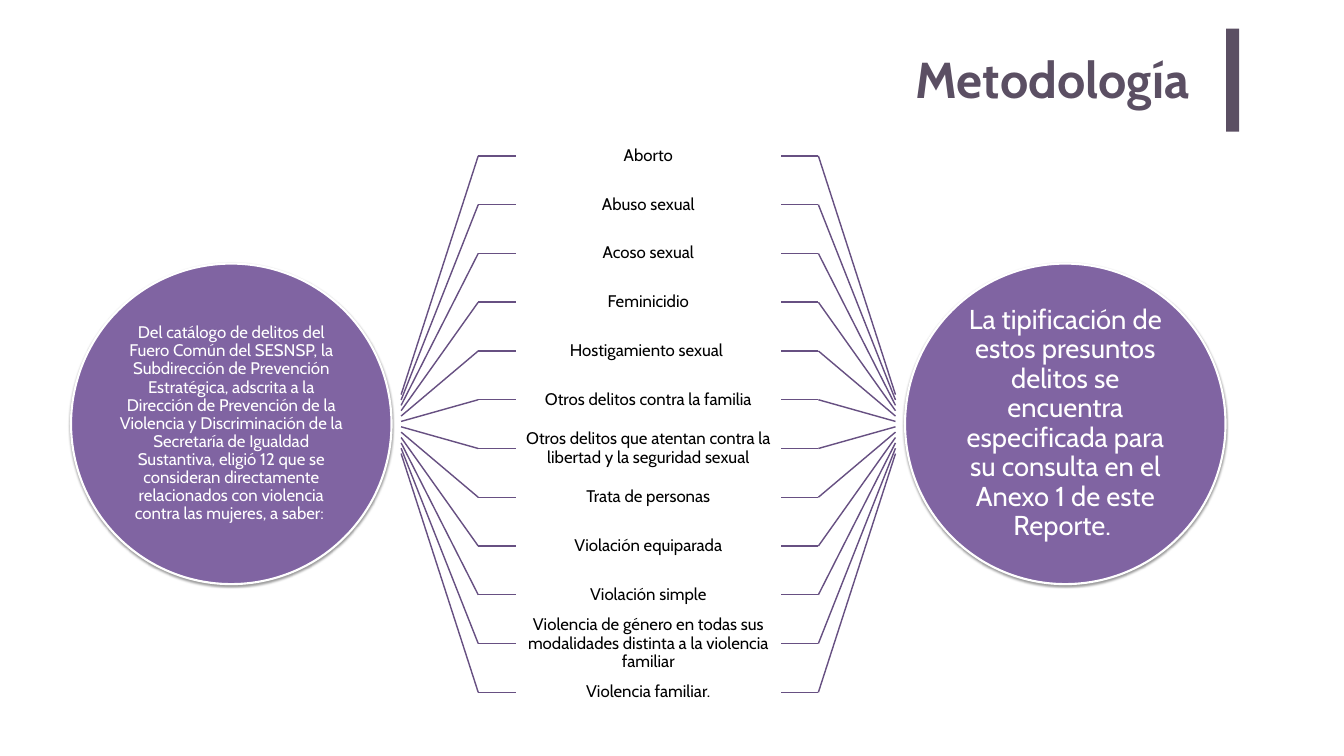
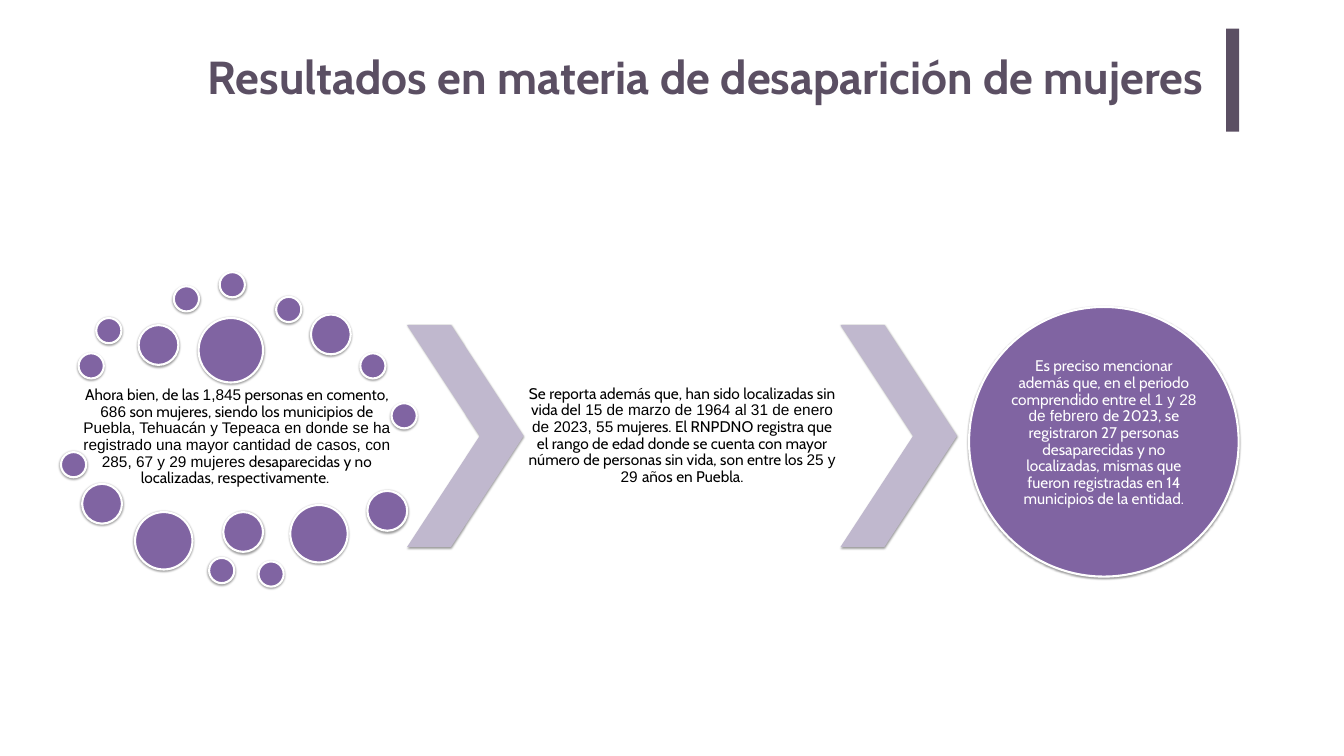
from dataclasses import dataclass
from itertools import cycle

from lxml import etree
from pptx import Presentation
from pptx import util as u
from pptx.dml.color import RGBColor
from pptx.enum import shapes, text
from pptx.oxml import ns

PX = 9144  # EMU in one px; 100 px make an inch


@dataclass(frozen=True)
class Theme:
    heading: str = "5B4F63"
    purple: str = "8064A2"
    pale: str = "C0B8CE"
    wire: str = "675082"
    white: str = "FFFFFF"
    black: str = "000000"
    font: str = "Cabin"
    alt_font: str = "Arial"
    title_size: int = 72
    long_title_size: int = 66
    large_size: int = 39
    list_size: int = 24
    body_size: int = 22


THEME = Theme()

CATALOGUE = (
    "Del catálogo de delitos del Fuero Común del SESNSP, la Subdirección de "
    "Prevención Estratégica, adscrita a la Dirección de Prevención de la Violencia "
    "y Discriminación de la Secretaría de Igualdad Sustantiva, eligió 12 que se "
    "consideran directamente relacionados con violencia contra las mujeres, a saber: ",
)
ANNEX = (
    "La tipificación de estos presuntos delitos se encuentra especificada para su "
    "consulta en el Anexo 1 de este Reporte. ",
)
CRIMES = [
    "Aborto",
    "Abuso sexual",
    "Acoso sexual",
    "Feminicidio",
    "Hostigamiento sexual ",
    "Otros delitos contra la familia",
    "Otros delitos que atentan contra la libertad y la seguridad sexual",
    "Trata de personas",
    "Violación equiparada",
    "Violación simple",
    "Violencia de género en todas sus modalidades distinta a la violencia familiar",
    "Violencia familiar.",
]

# Runs alternate between the main and the second font.
MISSING = (
    "Ahora bien, de las ", "1,845", " personas en comento, ", "686",
    " son mujeres, siendo los municipios de ",
    "Puebla, Tehuacán y Tepeaca en donde se ha registrado una mayor cantidad de "
    "casos, con 285, 67 y 29 mujeres",
    " desaparecidas y no localizadas, respectivamente. ",
)
FOUND = (
    "Se reporta además que, han sido localizadas sin vida de",
    "l 15 de marzo de 1964 al 31 de enero de 2023, 55",
    " mujeres. El RNPDNO registra que el rango de edad donde se cuenta con mayor "
    "número de personas sin vida, son entre los ",
    "25 y 29 ", "años en Puebla.",
)
FEBRUARY = (
    "Es preciso mencionar además que, en el periodo comprendido entre el ",
    "1 y 28 de febrero ",
    "de 2023, se registraron 27 personas desaparecidas y no localizadas, mismas que "
    "fueron registradas en 14 municipios de la entidad.",
)

# Dot diameter -> left and top of each dot within the cluster
DOTS = {
    50: [(35, 161), (70, 91), (224, 28), (315, 0), (427, 49), (594, 161),
         (656, 260), (0, 357), (294, 567), (392, 574)],
    79: [(154, 105), (496, 84), (42, 420), (322, 476), (608, 434)],
    114: [(147, 476), (455, 462)],
    128: [(273, 91)],
}


def emu(*lengths):
    return [u.Emu(round(length * PX)) for length in lengths]


def assign(target, **values):
    for name, value in values.items():
        setattr(target, name, value)


def write(frame, runs, size, color, insets=(0, 0, 0, 0), bold=False,
          align=text.PP_ALIGN.CENTER, anchor=text.MSO_ANCHOR.MIDDLE, spacing=0.9):
    left, top, right, bottom = emu(*insets)
    assign(frame, word_wrap=True, auto_size=text.MSO_AUTO_SIZE.NONE,
           vertical_anchor=anchor, margin_left=left, margin_top=top,
           margin_right=right, margin_bottom=bottom)
    paragraph = frame.paragraphs[0]
    assign(paragraph, alignment=align, line_spacing=spacing)
    for words, font in zip(runs, cycle((THEME.font, THEME.alt_font))):
        run = paragraph.add_run()
        run.text = words
        assign(run.font, name=font, size=u.Pt(size), bold=bold)
        run.font.color.rgb = RGBColor.from_string(color)


def add_label(slide, box, runs, size, inset):
    label = slide.shapes.add_textbox(*emu(*box))
    write(label.text_frame, runs, size, THEME.black, (inset,) * 4)


def add_filled(slide, kind, box, fill, outline=None, shadow=True):
    shape = slide.shapes.add_shape(kind, *emu(*box))
    shape.fill.solid()
    shape.fill.fore_color.rgb = RGBColor.from_string(fill)
    if outline:
        shape.line.color.rgb = RGBColor.from_string(outline)
        shape.line.width = u.Pt(3)
    else:
        shape.line.fill.background()
    shape.shadow.inherit = False
    if shadow:
        effects = shape._element.spPr.find(ns.qn("a:effectLst"))
        outer = etree.SubElement(
            effects, ns.qn("a:outerShdw"), blurRad=str(u.Pt(3.1)),
            dist=str(u.Pt(1.6)), dir="5400000", rotWithShape="0")
        tint = etree.SubElement(outer, ns.qn("a:srgbClr"), val=THEME.black)
        etree.SubElement(tint, ns.qn("a:alpha"), val="38000")
    return shape


def add_circle(slide, left, top, diameter):
    return add_filled(slide, shapes.MSO_SHAPE.OVAL, (left, top, diameter, diameter),
                      THEME.purple, THEME.white)


def add_text_circle(slide, left, top, diameter, runs, size, lift=0):
    """Circle with text; lift is the space kept free below the text."""
    circle = add_circle(slide, left, top, diameter)
    write(circle.text_frame, runs, size, THEME.white, (0, 0, 0, lift))


def add_chevron(slide, box):
    chevron = add_filled(slide, shapes.MSO_SHAPE.CHEVRON, box, THEME.pale)
    chevron.adjustments[0] = 0.623


def add_wire(slide, *ends):
    wire = slide.shapes.add_connector(shapes.MSO_CONNECTOR.STRAIGHT, *emu(*ends))
    wire.line.color.rgb = RGBColor.from_string(THEME.wire)
    wire.line.width = u.Pt(2)
    etree.SubElement(wire._element.spPr, ns.qn("a:effectLst"))


def add_titled_slide(deck, heading, box, size):
    slide = deck.slides.add_slide(deck.slide_layouts[5])
    add_filled(slide, shapes.MSO_SHAPE.RECTANGLE, (2433, 57, 26, 204),
               THEME.heading, shadow=False)
    title = slide.shapes.title
    assign(title, **dict(zip(("left", "top", "width", "height"), emu(*box))))
    write(title.text_frame, [heading], size, THEME.heading, (20, 10, 20, 10), True,
          text.PP_ALIGN.RIGHT, text.MSO_ANCHOR.TOP, 1.0)
    return slide


def add_crime_fan(slide, left, top, width, height):
    """List of crimes, each row wired to a hub on both sides of the box."""
    pitch = height / len(CRIMES)
    hub_pitch, reach, stub = 10.64, 153, 74
    right, middle = left + width, top + height / 2
    for row, crime in enumerate(CRIMES):
        y = top + (row + 0.5) * pitch
        hub_y = middle + (row - (len(CRIMES) - 1) / 2) * hub_pitch
        for edge, inward in ((left, 1), (right, -1)):
            elbow = edge + inward * reach
            add_wire(slide, edge, hub_y, elbow, y)
            add_wire(slide, elbow, y, elbow + inward * stub, y)
        side = reach + stub
        add_label(slide, (left + side, y - pitch / 2, width - 2 * side, pitch),
                  [crime], THEME.list_size, 19)


def add_dot_cluster(slide, left, top):
    add_label(slide, (left + 35, top + 224, 628, 207), MISSING, THEME.body_size, 3)
    for diameter, places in DOTS.items():
        for x, y in places:
            add_circle(slide, left + x, top + y, diameter)


def add_found_step(slide, left, top, height):
    """Text between two chevrons."""
    chevron_width, text_width = 231, 629
    for x in (left, left + chevron_width + text_width):
        add_chevron(slide, (x, top, chevron_width, height))
    add_label(slide, (left + chevron_width, top, text_width, height),
              FOUND, THEME.body_size, 3)


def build_methodology(deck):
    slide = add_titled_slide(deck, "Metodología", (1553, 86, 827, 146),
                             THEME.title_size)
    add_text_circle(slide, 141, 523, 636, CATALOGUE, THEME.list_size)
    add_crime_fan(slide, 796, 261, 981, 1161)
    add_text_circle(slide, 1796, 523, 636, ANNEX, THEME.large_size)


def build_results(deck):
    slide = add_titled_slide(
        deck, "Resultados en materia de desaparición de mujeres",
        (259, 86, 2148, 204), THEME.long_title_size)
    add_dot_cluster(slide, 121, 540)
    add_found_step(slide, 808, 645, 440)
    add_text_circle(slide, 1923, 609, 535, FEBRUARY, THEME.body_size, lift=33)


def main():
    deck = Presentation()
    deck.slide_width, deck.slide_height = emu(2667, 1500)
    build_methodology(deck)
    build_results(deck)
    deck.save("out.pptx")


if __name__ == "__main__":
    main()
